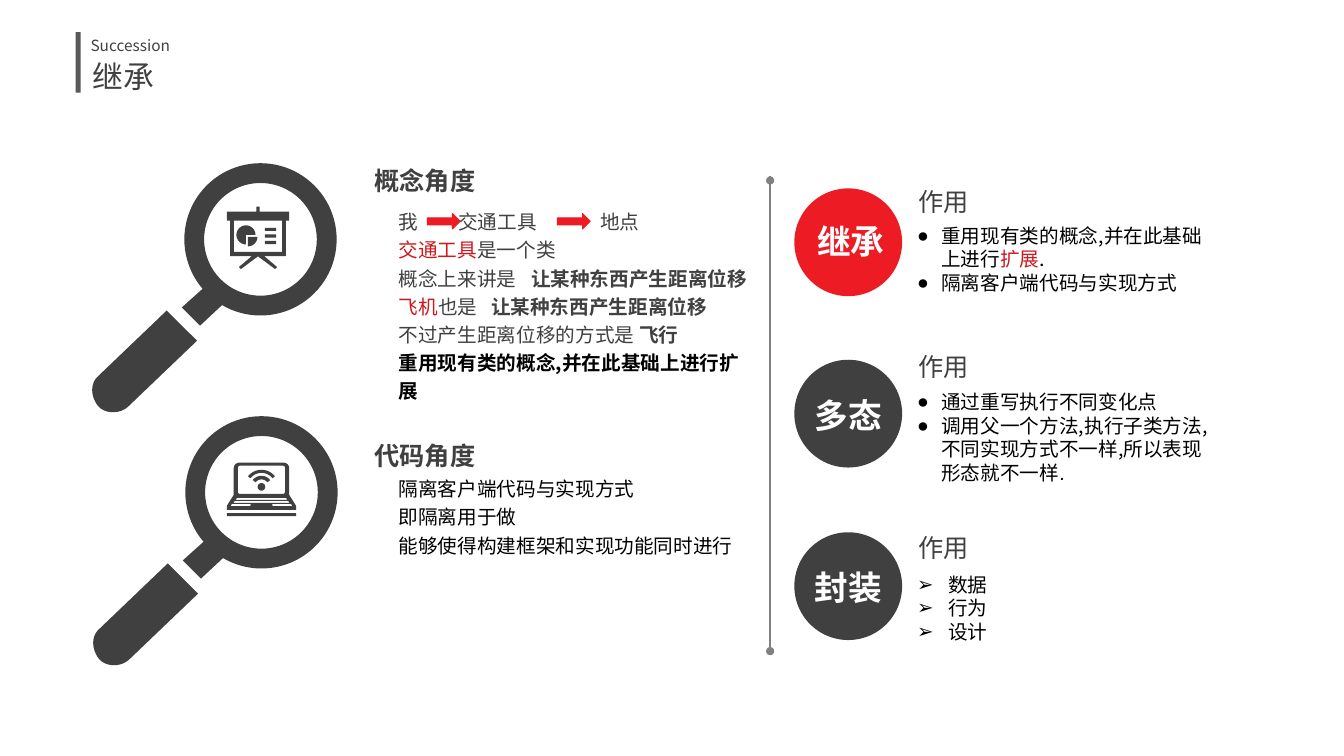
"""Build the slide about inheritance, polymorphism and encapsulation."""
from dataclasses import dataclass
from math import cos, radians, sin
from typing import Optional

from lxml.etree import SubElement
from pptx import Presentation
from pptx.dml.color import RGBColor
from pptx.enum.shapes import MSO_CONNECTOR as Connector, MSO_SHAPE as Preset
from pptx.oxml.ns import qn
from pptx.util import Pt

DARK = RGBColor(0x40, 0x40, 0x40)
ACCENT_BAR = RGBColor(0x59, 0x59, 0x59)
GRAY = RGBColor(0x80, 0x80, 0x80)
RED = RGBColor(0xED, 0x1C, 0x24)
TEXT_RED = RGBColor(0xCE, 0x18, 0x1E)
BLACK = RGBColor(0, 0, 0)
WHITE = RGBColor(0xFF, 0xFF, 0xFF)
FONT = "Noto Sans CJK SC"
WIDE_INSETS = (7.2, 3.6)
NARROW_INSETS = (5.4, 2.7)

Point = tuple[float, float]
Contour = list[Point]


@dataclass(frozen=True)
class Run:
    text: str
    color: Optional[RGBColor] = None
    bold: Optional[bool] = None
    font: Optional[str] = None


@dataclass(frozen=True)
class Line:
    runs: tuple[Run, ...]
    tabs: tuple[float, ...] = ()


@dataclass(frozen=True)
class TextStyle:
    size: float
    color: RGBColor
    bold: bool = False
    insets: Point = WIDE_INSETS
    wrap: bool = False
    spacing: Optional[float] = None
    bullet: str = ""
    indent: float = 0


@dataclass(frozen=True)
class Topic:
    name: str
    color: RGBColor
    circle_top: float
    name_at: Point
    heading_top: float
    list_top: float
    bullet: str
    indent: float
    lines: tuple[Line, ...]


@dataclass(frozen=True)
class Aspect:
    name: str
    heading_top: float
    body_top: float
    body_height: float
    lens: Point
    icon_at: Point
    icon: list[Contour]
    lines: tuple[Line, ...]


def plain(*texts: str) -> tuple[Line, ...]:
    return tuple(Line((Run(text),)) for text in texts)


def box(left: float, top: float, right: float, bottom: float) -> Contour:
    return [(left, top), (right, top), (right, bottom), (left, bottom)]


def trapezoid(top: float, half_top: float, bottom: float, half_bottom: float) -> Contour:
    return [(-half_top, top), (half_top, top), (half_bottom, bottom), (-half_bottom, bottom)]


def arc(center: Point, radius: float, start: int, end: int) -> Contour:
    steps = max(abs(end - start) // 6, 1)
    angles = [radians(start + (end - start) * i / steps) for i in range(steps + 1)]
    return [(center[0] + radius * cos(a), center[1] + radius * sin(a)) for a in angles]


def bezier(p0: Point, p1: Point, p2: Point, p3: Point) -> Contour:
    def blend(axis: int, t: float) -> float:
        u = 1 - t
        return u**3 * p0[axis] + 3 * u * u * t * p1[axis] + 3 * u * t * t * p2[axis] + t**3 * p3[axis]
    return [(blend(0, i / 12), blend(1, i / 12)) for i in range(13)]


def wifi_band(outer: float, inner: float) -> Contour:
    return arc((0, 17.3), outer, -142, -38) + arc((0, 17.3), inner, -38, -142)


def mirrored(half: Contour) -> Contour:
    return half + [(-x, y) for x, y in reversed(half)]


BOARD = [
    mirrored([(1.1, 0), (1.1, 3.6), (22.3, 3.6), (22.3, 10), (19.9, 10), (19.9, 35.3),
              (4.3, 35.3), (13.7, 43.2), (12.2, 44.6), (0, 35.5)]),
    box(-17.3, 10, 17.3, 32.4),
    [(-8.6, 20.2)] + arc((-8.6, 20.2), 6.8, 90, 360),
    [(-7.2, 21.6)] + arc((-7.2, 21.6), 6.8, 0, 90),
    *[box(5, 15.1 + 4.7 * i, 13, 17.4 + 4.7 * i) for i in range(3)],
]
LAPTOP = [
    mirrored(arc((15.8, 4), 4, -90, 0) + [(19.8, 23), (24.8, 31), (24.8, 33.8)]),
    mirrored(arc((15.4, 3.7), 1.5, -90, 0) + arc((15.4, 20.8), 1.5, 0, 90)),
    trapezoid(25.2, 17.6, 26.6, 18.4),
    trapezoid(27.4, 19.1, 28.8, 20.2),
    [(-21.2, 29.5), (-7.6, 29.5), (-8, 31), (-22, 31)],
    [(21.2, 29.5), (7.6, 29.5), (8, 31), (22, 31)],
    box(-24.8, 36, 24.8, 38.2),
    wifi_band(12.2, 10), wifi_band(7.9, 5.3), arc((0, 17.3), 2.7, 0, 360),
]
NECK = [(-22.3, 42.1), (-43.2, 61.6), (-56.2, 48.6), (-34.6, 29.2)]
HANDLE = [(-67, 50.8),
          *bezier((-115.9, 97.6), (-121.7, 102.6), (-121.7, 112), (-115.9, 119.2)),
          *bezier((-115.9, 119.2), (-110.9, 124.9), (-100.1, 124.9), (-94.3, 119.2)),
          (-45.4, 72.4)]

SHIFT = Run("让某种东西产生距离位移", bold=True)
ASPECTS = (
    Aspect("概念角度", 115.2, 144, 153.4, (186.1, 171), (184.3, 147.6), BOARD, (
        Line((Run("我\t交通工具\t地点"),), (42.5, 144)),
        Line((Run("交通工具", TEXT_RED), Run("是一个类"))),
        Line((Run("概念上来讲是\t"), SHIFT), (94.5,)),
        Line((Run("飞机", TEXT_RED), Run("也是\t"), SHIFT), (66,)),
        Line((Run("不过产生距离位移的方式是"), Run(" 飞行", bold=True))),
        Line((Run("重用现有类的概念,并在此基础上进行扩展", BLACK, True),)))),
    Aspect("代码角度", 311.8, 334.8, 50.4, (186.8, 351.7), (186.8, 330.5), LAPTOP, tuple(
        Line((Run(text, BLACK),)) for text in
        ("隔离客户端代码与实现方式", "即隔离用于做", "能够使得构建框架和实现功能同时进行"))),
)
TOPICS = (
    Topic("继承", RED, 134.6, (578.2, 154.8), 129.6, 156.2, "●", 17.3, (
        Line((Run("重用现有类的概念,并在此基础上进行"), Run("扩展", TEXT_RED), Run("."))),
        *plain("隔离客户端代码与实现方式"))),
    Topic("多态", DARK, 257, (576.7, 279.4), 247.7, 275, "●", 17.3, (
        *plain("通过重写执行不同变化点"),
        Line((Run("调用父一个方法,执行子类方法,不同实现方式不一样,所以表现形态就不一样"),
              Run(".", font="Arial"))))),
    Topic("封装", DARK, 380.2, (576.7, 402.5), 376.6, 405.4, "➢", 22.3,
          plain("数据", "行为", "设计")),
)


def add_preset(slide, preset, left: float, top: float, width: float, height: float,
               color: RGBColor):
    shape = slide.shapes.add_shape(preset, Pt(left), Pt(top), Pt(width), Pt(height))
    return paint(shape, color)


def paint(shape, color: RGBColor):
    shape.shadow.inherit = False
    shape.fill.solid()
    shape.fill.fore_color.rgb = color
    shape.line.fill.background()
    return shape


def add_outline(slide, origin: Point, contours: list[Contour]) -> None:
    placed = [[(Pt(origin[0] + x), Pt(origin[1] + y)) for x, y in c] for c in contours]
    builder = slide.shapes.build_freeform(*placed[0][0])
    builder.add_line_segments(placed[0][1:])
    for contour in placed[1:]:
        builder.move_to(*contour[0])
        builder.add_line_segments(contour[1:])
    paint(builder.convert_to_shape(), DARK)


def add_text(slide, left: float, top: float, width: float, height: float,
             lines: tuple[Line, ...], style: TextStyle) -> None:
    frame = slide.shapes.add_textbox(Pt(left), Pt(top), Pt(width), Pt(height)).text_frame
    frame.word_wrap = style.wrap
    frame.margin_left = frame.margin_right = Pt(style.insets[0])
    frame.margin_top = frame.margin_bottom = Pt(style.insets[1])
    for index, line in enumerate(lines):
        paragraph = frame.add_paragraph() if index else frame.paragraphs[0]
        if style.spacing:
            paragraph.line_spacing = style.spacing
        properties = paragraph._p.get_or_add_pPr()
        if style.bullet:
            properties.set("marL", str(Pt(style.indent)))
            properties.set("indent", str(-Pt(style.indent)))
            SubElement(properties, qn("a:buFont"), typeface="Arial")
            SubElement(properties, qn("a:buChar"), char=style.bullet)
        if line.tabs:
            stops = SubElement(properties, qn("a:tabLst"))
            for tab in line.tabs:
                SubElement(stops, qn("a:tab"), pos=str(Pt(tab)), algn="l")
        font = paragraph.font
        font.size, font.bold, font.name = Pt(style.size), style.bold, FONT
        font.color.rgb = style.color
        SubElement(properties.find(qn("a:defRPr")), qn("a:ea"), typeface=FONT)
        for part in line.runs:
            run = paragraph.add_run()
            run.text = part.text
            if part.color is not None:
                run.font.color.rgb = part.color
            if part.bold is not None:
                run.font.bold = part.bold
            if part.font:
                run.font.name = part.font


def add_aspect(slide, aspect: Aspect) -> None:
    x, y = aspect.lens
    ring = add_preset(slide, Preset.DONUT, x - 54.4, y - 54.4, 108.8, 108.8, DARK)
    ring.adjustments[0] = 0.13
    for part in (NECK, HANDLE):
        add_outline(slide, aspect.lens, [part])
    add_outline(slide, aspect.icon_at, aspect.icon)
    add_text(slide, 262.1, aspect.heading_top, 154.8, 26.6, plain(aspect.name),
             TextStyle(18, DARK, True, NARROW_INSETS))
    add_text(slide, 279.4, aspect.body_top, 261.4, aspect.body_height, aspect.lines,
             TextStyle(14, DARK, insets=NARROW_INSETS, wrap=True, spacing=1.2))


def add_topic(slide, topic: Topic) -> None:
    add_preset(slide, Preset.OVAL, 567.4, topic.circle_top, 77, 77, topic.color)
    add_text(slide, *topic.name_at, 64, 42, plain(topic.name),
             TextStyle(24, WHITE, True, NARROW_INSETS))
    add_text(slide, 648.7, topic.heading_top, 122.4, 28.8, plain("作用"), TextStyle(18, DARK))
    add_text(slide, 648, topic.list_top, 222.5, 70.6, topic.lines,
             TextStyle(14, BLACK, wrap=True, bullet=topic.bullet, indent=topic.indent))


def add_divider(slide) -> None:
    line = slide.shapes.add_connector(Connector.STRAIGHT, Pt(550.1), Pt(126), Pt(550.1), Pt(465.1))
    line.line.color.rgb = GRAY
    line.line.width = Pt(1)
    SubElement(line._element.spPr, qn("a:effectLst"))
    for top in (126, 462.2):
        add_preset(slide, Preset.OVAL, 547.2, top, 5.8, 5.8, GRAY)


def main() -> None:
    presentation = Presentation()
    presentation.slide_width, presentation.slide_height = Pt(960), Pt(540)
    slide = presentation.slides.add_slide(presentation.slide_layouts[6])
    add_preset(slide, Preset.RECTANGLE, 54, 23, 3.6, 43.2, ACCENT_BAR)
    add_text(slide, 59, 37.4, 190, 33.1, plain("继承"), TextStyle(22, DARK))
    add_text(slide, 57.6, 18, 220.3, 23.8, plain("Succession"),
             TextStyle(11, DARK, wrap=True, spacing=1.3))
    add_divider(slide)
    for topic in TOPICS:
        add_topic(slide, topic)
    for aspect in ASPECTS:
        add_aspect(slide, aspect)
    for left in (305.3, 398.2):
        arrow = add_preset(slide, Preset.RIGHT_ARROW, left, 152.6, 23.4, 11, RED)
        arrow.adjustments[0] = 0.45
        arrow.line.color.rgb = RED
        arrow.line.width = Pt(0.75)
    presentation.save("out.pptx")


if __name__ == "__main__":
    main()
